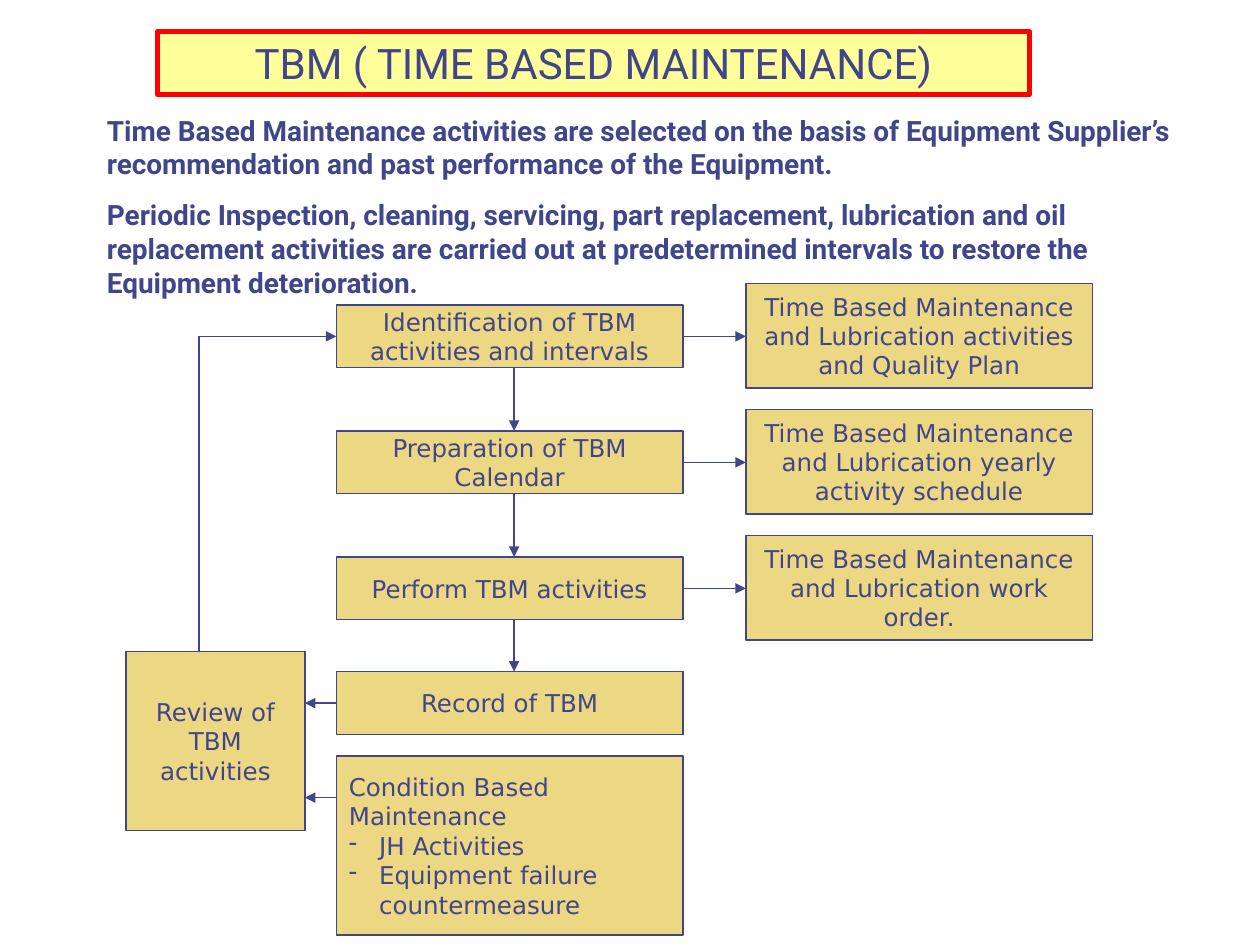
"""Build the Time Based Maintenance flow slide."""
from dataclasses import dataclass

from lxml import etree
from pptx import Presentation, util as u
from pptx.dml.color import RGBColor
from pptx.enum import shapes, text
from pptx.oxml import ns

COLORS = {"ink": "40458C", "step": "ECD882", "banner": "FFFF99", "border": "FF0000"}
STEP_LEFT, OUTPUT_LEFT, BOX_WIDTH = 2.67, 5.92, 2.75
STEP_HEIGHT, OUTPUT_HEIGHT = 0.5, 0.83
STEP_RIGHT = STEP_LEFT + BOX_WIDTH
REVIEW_LEFT, REVIEW_TOP, REVIEW_SIZE = 1, 5.17, 1.42
REVIEW_RIGHT = REVIEW_LEFT + REVIEW_SIZE
FLOW_X, LOOP_X, FIRST_ROW_Y = 4.08, 1.58, 2.67
INTRO = (
    "Time Based Maintenance activities are selected on the basis of Equipment "
    "Supplier’s recommendation and past performance of the Equipment.",
    "Periodic Inspection, cleaning, servicing, part replacement, lubrication and oil "
    "replacement activities are carried out at predetermined intervals to restore the "
    "Equipment deterioration.",
)


@dataclass
class Box:
    """A labelled rectangle, measured in inches."""
    label: str
    left: float
    top: float
    width: float = BOX_WIDTH
    height: float = STEP_HEIGHT


@dataclass
class Link:
    """A straight line between two points, measured in inches."""
    start: tuple[float, float]
    end: tuple[float, float]
    arrow: bool = True


STEPS = [
    Box("Identification of TBM activities and intervals", STEP_LEFT, 2.42),
    Box("Preparation of TBM Calendar", STEP_LEFT, 3.42),
    Box("Perform TBM activities", STEP_LEFT, 4.42),
    Box("Record of TBM", STEP_LEFT, 5.33),
]
OUTPUTS = [
    Box("Time Based Maintenance and Lubrication " + ending, OUTPUT_LEFT, 2.25 + row,
        height=OUTPUT_HEIGHT)
    for row, ending in enumerate(
        ("activities and Quality Plan", "yearly activity schedule", "work order."))
]
CONDITION = Box("Condition Based Maintenance\nJH Activities\nEquipment failure countermeasure",
                STEP_LEFT, 6, height=1.42)
REVIEW = Box("Review of TBM activities", REVIEW_LEFT, REVIEW_TOP, REVIEW_SIZE, REVIEW_SIZE)


def color(name: str) -> RGBColor:
    """Return a palette colour."""
    return RGBColor.from_string(COLORS[name])


def paint(shape, fill: str, line: str, weight: float) -> None:
    """Set the fill and outline of a shape."""
    shape.fill.solid()
    shape.fill.fore_color.rgb = color(fill)
    shape.line.color.rgb = color(line)
    shape.line.width = u.Pt(weight)


def format_text(frame, font: str, size: int, align, bold: bool = False) -> None:
    """Format every paragraph and run in a text frame."""
    frame.word_wrap = True
    for paragraph in frame.paragraphs:
        paragraph.alignment = align
        for run in paragraph.runs:
            run.font.name = font
            run.font.size = u.Pt(size)
            run.font.bold = bold
            run.font.color.rgb = color("ink")


def add_dash(paragraph) -> None:
    """Give a paragraph a hanging dash bullet."""
    properties = paragraph._p.get_or_add_pPr()
    indent = u.Inches(0.24)
    properties.set("marL", str(indent))
    properties.set("indent", str(-indent))
    bullet_color = etree.SubElement(properties, ns.qn("a:buClr"))
    etree.SubElement(bullet_color, ns.qn("a:srgbClr"), val=COLORS["ink"])
    etree.SubElement(properties, ns.qn("a:buChar"), char="-")


def add_box(slide, box: Box, align=text.PP_ALIGN.CENTER):
    """Draw one flow box and return its text frame."""
    rectangle = slide.shapes.add_shape(
        shapes.MSO_SHAPE.RECTANGLE,
        *(u.Inches(v) for v in (box.left, box.top, box.width, box.height)))
    rectangle.shadow.inherit = False
    paint(rectangle, "step", "ink", 0.75)
    frame = rectangle.text_frame
    frame.text = box.label
    frame.vertical_anchor = text.MSO_ANCHOR.MIDDLE
    format_text(frame, "DejaVu Sans", 14, align)
    return frame


def add_link(slide, link: Link) -> None:
    """Draw one connecting line, with an arrowhead if asked."""
    connector = slide.shapes.add_connector(
        shapes.MSO_CONNECTOR.STRAIGHT, *(u.Inches(v) for v in link.start + link.end))
    connector.line.color.rgb = color("ink")
    connector.line.width = u.Pt(0.75)
    if link.arrow:
        etree.SubElement(connector.line._get_or_add_ln(), ns.qn("a:tailEnd"), type="triangle")
    etree.SubElement(connector._element.spPr, ns.qn("a:effectLst"))


def add_heading(slide) -> None:
    """Format the title banner."""
    title = slide.shapes.title
    title.left, title.top, title.width, title.height = (
        u.Inches(v) for v in (1.25, 0.25, 6.92, 0.5))
    paint(title, "banner", "border", 3)
    frame = title.text_frame
    frame.text = "TBM ( TIME BASED MAINTENANCE)"
    frame.auto_size = text.MSO_AUTO_SIZE.NONE
    frame.vertical_anchor = text.MSO_ANCHOR.TOP
    format_text(frame, "Roboto", 24, text.PP_ALIGN.CENTER)


def add_intro(slide) -> None:
    """Add the two introductory paragraphs."""
    intro = slide.shapes.add_textbox(*(u.Inches(v) for v in (0.75, 0.85, 8.75, 1.57)))
    frame = intro.text_frame
    frame.text = "\n".join(INTRO)
    format_text(frame, "Roboto", 16, text.PP_ALIGN.LEFT, bold=True)
    frame.paragraphs[1].space_before = u.Pt(10)


def main() -> None:
    """Build and save the slide."""
    deck = Presentation()
    deck.slide_width, deck.slide_height = u.Inches(10), u.Inches(7.5)
    slide = deck.slides.add_slide(deck.slide_layouts[5])
    add_heading(slide)
    add_intro(slide)

    for box in [*STEPS, *OUTPUTS, REVIEW]:
        add_box(slide, box)
    condition = add_box(slide, CONDITION, text.PP_ALIGN.LEFT)
    for item in condition.paragraphs[1:]:
        add_dash(item)

    to_review = [Link((STEP_LEFT, y), (REVIEW_RIGHT, y)) for y in (5.58, 6.33)]
    to_outputs = [Link((STEP_RIGHT, FIRST_ROW_Y + row), (OUTPUT_LEFT, FIRST_ROW_Y + row))
                  for row in range(len(OUTPUTS))]
    down = [Link((FLOW_X, upper.top + upper.height), (FLOW_X, lower.top))
            for upper, lower in zip(STEPS, STEPS[1:])]
    loop = [Link((LOOP_X, FIRST_ROW_Y), (LOOP_X, REVIEW_TOP), arrow=False),
            Link((LOOP_X, FIRST_ROW_Y), (STEP_LEFT, FIRST_ROW_Y))]
    for link in to_review + to_outputs + down + loop:
        add_link(slide, link)

    deck.save("out.pptx")


if __name__ == "__main__":
    main()
